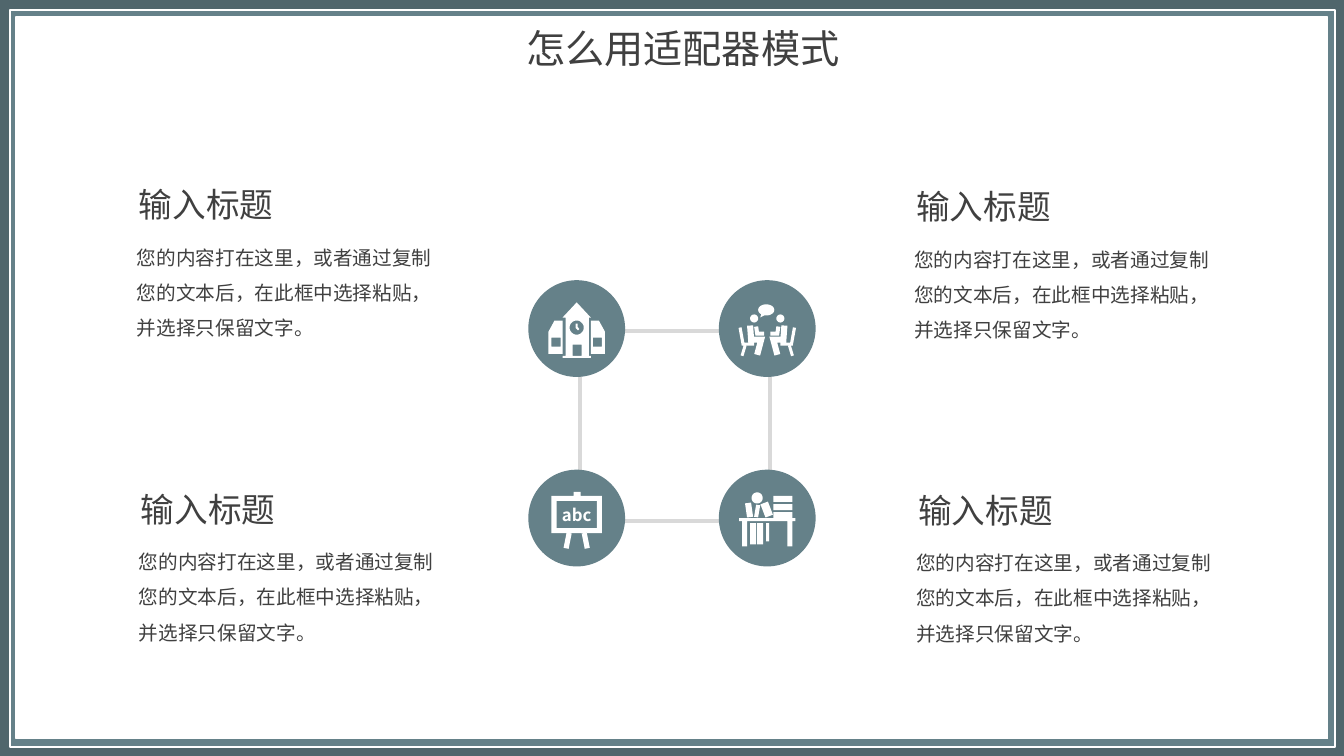
from itertools import pairwise
from math import cos, pi, sin

from lxml.etree import SubElement
from pptx import Presentation
from pptx.dml.color import RGBColor
from pptx.enum.shapes import MSO_SHAPE
from pptx.enum.text import MSO_ANCHOR, MSO_AUTO_SIZE, PP_ALIGN
from pptx.oxml.ns import qn
from pptx.util import Pt

COLORS = {
    "border": "50666C",
    "accent": "658189",
    "paper": "FFFFFF",
    "link": "D9D9D9",
    "text": "404040",
}
FONT = "Noto Sans CJK SC"
PX = 9144
FINE = 10
CIRCLE = 96

HEADING = "输入标题"
BODY = "您的内容打在这里，或者通过复制您的文本后，在此框中选择粘贴，并选择只保留文字。"


def box(left, top, width, height):
    right, bottom = left + width, top + height
    return [(left, top), (right, top), (right, bottom), (left, bottom)]


def oval(center_x, center_y, radius_x, radius_y, steps=32):
    angles = [2 * pi * step / steps for step in range(steps)]
    return [(center_x + radius_x * cos(a), center_y + radius_y * sin(a)) for a in angles]


def band(width, *points):
    spine = [complex(*point) for point in points]
    normals = [1j * (end - start) / abs(end - start) for start, end in pairwise(spine)]
    sides = [], []
    for point, before, after in zip(spine, normals[:1] + normals, normals + normals[-1:]):
        miter = (before + after) / (1 + (before * after.conjugate()).real)
        for side, sign in zip(sides, (1, -1)):
            edge = point + sign * miter * width / 2
            side.append((edge.real, edge.imag))
    return sides[0] + sides[1][::-1]


def mirror(outline):
    return [(CIRCLE - x, y) for x, y in outline]


def with_mirror(*outlines):
    return [*outlines, *map(mirror, outlines)]


def school():
    wing = [(20, 51), (26, 40), (34, 40), (34, 73), (20, 73)]
    window = box(23, 57, 9, 9)
    roof = [(34, 37), (48, 22), (62, 37)]
    walls = box(37, 37, 23, 38)
    door = box(44, 64, 9, 11)
    step = box(34, 75, 28, 2)
    clock = oval(48, 47, 7, 7)
    hands = band(2, (48, 43), (48, 47), (50, 49))
    return [*with_mirror(wing, window), roof, walls, door, step, clock, hands]


def meeting():
    head = oval(61, 38, 4, 4)
    torso_and_leg = band(6, (65, 45), (64, 59), (54, 59), (58, 74))
    arm = band(4, (59, 46), (58, 53), (51, 53))
    chair = band(3, (75, 47), (72, 63.5), (61, 63.5))
    chair_leg = band(3, (70, 65), (73, 75))
    bubble = oval(47, 29.5, 8, 5.5)
    bubble_tail = [(41, 37), (42, 34), (45, 35)]
    return [*with_mirror(head, torso_and_leg, arm, chair, chair_leg), bubble, bubble_tail]


def blackboard():
    frame = box(23, 26, 50, 37)
    board = box(28, 31, 40, 27)
    hook = box(45, 22, 7, 4)
    leg = band(5, (40.5, 63), (37.5, 78))
    return [frame, board, hook, *with_mirror(leg)]


def desk():
    top = box(20, 48, 56, 3)
    table_leg = box(23, 51, 5, 25)
    books = [box(54, 26 + 8 * level, 19, 6) for level in range(3)]
    student_legs = [box(left, 53, 6, 21) for left in (31, 38)]
    chair_leg = box(47, 53, 3, 18)
    head = oval(38, 28, 5.5, 5.5)
    shoulder = band(6, (29, 33), (31, 47))
    propping_arm = band(4, (39, 35), (37, 47))
    torso = band(8, (45, 33), (50, 46))
    return [top, *with_mirror(table_leg), *books, *student_legs, chair_leg,
            head, shoulder, propping_arm, torso]


class SlideBuilder:
    def __init__(self, slide):
        self.slide = slide

    def paint(self, shape, fill, line=None, weight=1):
        shape.shadow.inherit = False
        shape.fill.solid()
        shape.fill.fore_color.rgb = RGBColor.from_string(COLORS[fill])
        if line:
            shape.line.color.rgb = RGBColor.from_string(COLORS[line])
            shape.line.width = Pt(weight)
        else:
            shape.line.fill.background()

    def shape(self, kind, bounds, fill, line=None, weight=1):
        shape = self.slide.shapes.add_shape(kind, *(v * PX for v in bounds))
        self.paint(shape, fill, line, weight)

    def icon(self, left, top, outlines):
        placed = [[((left + x) * FINE, (top + y) * FINE) for x, y in outline]
                  for outline in outlines]
        builder = self.slide.shapes.build_freeform(*placed[0][0], scale=PX / FINE)
        for start, *rest in placed:
            builder.move_to(*start)
            builder.add_line_segments(rest, close=True)
        self.paint(builder.convert_to_shape(), "paper")

    def text(self, bounds, words, size, align=None, spacing=None, color="text"):
        frame = self.slide.shapes.add_textbox(*(v * PX for v in bounds)).text_frame
        frame.word_wrap = True
        frame.auto_size = MSO_AUTO_SIZE.SHAPE_TO_FIT_TEXT
        paragraph = frame.paragraphs[0]
        paragraph.text = words
        paragraph.alignment = align
        paragraph.line_spacing = spacing
        font = paragraph.font
        font.size = Pt(size)
        font.color.rgb = RGBColor.from_string(COLORS[color])
        font.name = FONT
        defaults = paragraph._p.pPr.find(qn("a:defRPr"))
        SubElement(defaults, qn("a:ea")).set("typeface", FONT)
        return frame

    def lettering(self, bounds, words, size):
        frame = self.text(bounds, words, size, PP_ALIGN.CENTER, color="paper")
        frame.auto_size = MSO_AUTO_SIZE.NONE
        frame.vertical_anchor = MSO_ANCHOR.MIDDLE
        frame.margin_left = frame.margin_right = 0
        frame.margin_top = frame.margin_bottom = 0
        frame.paragraphs[0].font.bold = True


def main():
    deck = Presentation()
    deck.slide_width, deck.slide_height = 1333 * PX, 750 * PX
    page = SlideBuilder(deck.slides.add_slide(deck.slide_layouts[6]))

    page.shape(MSO_SHAPE.RECTANGLE, (0, 0, 1333, 750), "border")
    page.shape(MSO_SHAPE.RECTANGLE, (10, 10, 1314, 731), "accent", "paper")
    page.shape(MSO_SHAPE.RECTANGLE, (16, 17, 1301, 716), "paper", "paper")

    page.shape(MSO_SHAPE.RECTANGLE, (575, 328, 189, 189), "paper", "link", 3)
    for index, draw_icon in enumerate((school, meeting, blackboard, desk)):
        row, column = divmod(index, 2)
        left, top = 524 + 189 * column, 278 + 188 * row
        page.shape(MSO_SHAPE.OVAL, (left, top, CIRCLE, CIRCLE), "accent")
        page.icon(left, top, draw_icon())
        if draw_icon is blackboard:
            page.lettering((left + 28, top + 31, 40, 27), "abc", 12)

    for left, top in ((899, 180), (901, 481), (128, 178), (130, 480)):
        page.text((left, top, 188, 50), HEADING, 24, PP_ALIGN.JUSTIFY)
        page.text((left - 2, top + 49, 315, 112), BODY, 14, spacing=1.5)

    page.text((512, 19, 347, 57), "怎么用适配器模式", 28, PP_ALIGN.JUSTIFY)
    deck.save("out.pptx")


if __name__ == "__main__":
    main()
